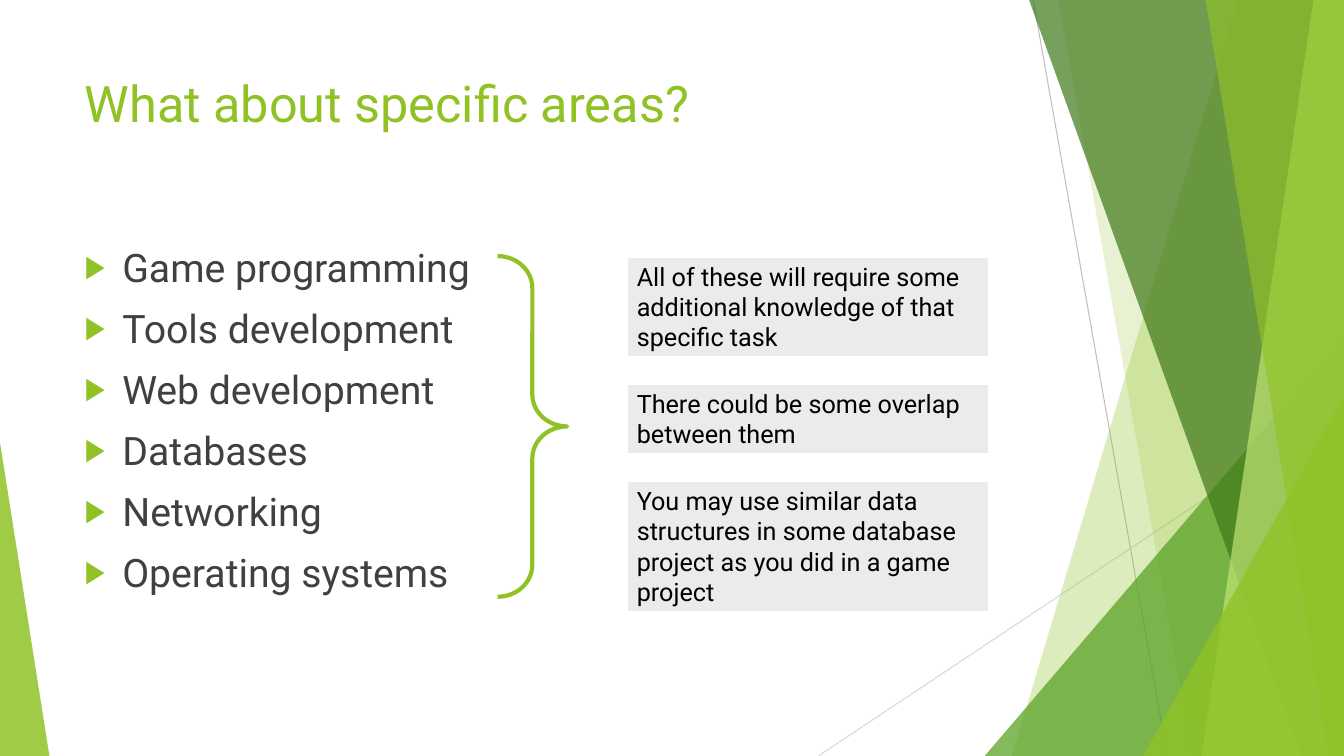
from lxml.etree import SubElement
from pptx import Presentation
from pptx.dml.color import RGBColor
from pptx.enum.shapes import MSO_CONNECTOR, MSO_SHAPE
from pptx.enum.text import MSO_ANCHOR, MSO_AUTO_SIZE, PP_ALIGN
from pptx.oxml.ns import qn
from pptx.util import Pt

TITLE = "What about specific areas?"
AREAS = ["Game programming", "Tools development", "Web development",
         "Databases", "Networking", "Operating systems"]
NOTES = [
    ("All of these will require some additional knowledge of that specific task", 3),
    ("There could be some overlap between them", 2),
    ("You may use similar data structures in some database project as you did in a game project", 4),
]
COLORS = {"lime": "90C226", "green": "54A021", "forest": "3F7819", "pale": "C0E474",
          "text": "404040", "black": "000000", "note": "EBEBEB", "white": "FFFFFF",
          "gray": "BFBFBF", "light_gray": "D9D9D9"}
WIDTH, HEIGHT = 960, 540
RAYS = [((738, 0), (833.8, HEIGHT), "gray"), ((WIDTH, 290.2), (584.6, HEIGHT), "light_gray")]
FACETS = [
    ("band", (884.2, 722.9), "lime", 30),
    ("band", (756, 851.8), "lime", 20),
    ("triangle", (703.4, 239.8, 256.6, 1), "green", 72),
    ("band", (735.1, 929.5), "forest", 70),
    ("band", (938.2, 858.2), "pale", 70),
    ("band", (861.1, 949), "lime", 65),
    ("triangle", (816.5, 283, 143.5, 1), "lime", 80),
    ("triangle", (0, 316.1, 35.3, 0), "lime", 85),
]
TITLE_FONT = {"name": "Roboto", "size": Pt(36), "color": "lime"}
AREA_FONT = {"name": "Roboto", "size": Pt(28), "color": "text"}
NOTE_FONT = {"name": "Roboto", "size": Pt(18), "color": "black"}
NOTE_LEFT, NOTE_TOP, NOTE_WIDTH, NOTE_GAP = 447.8, 183, 259.2, 18.2
NOTE_LINE, NOTE_PADDING = 21.6, 7.9


def rgb(name):
    return RGBColor.from_string(COLORS[name])


def box(*lengths):
    return [Pt(v) for v in lengths]


def format_font(font, values):
    for key, value in values.items():
        if key == "color":
            font.color.rgb = rgb(value)
        else:
            setattr(font, key, value)


def format_frame(tf):
    values = {"word_wrap": True, "auto_size": MSO_AUTO_SIZE.NONE, "vertical_anchor": MSO_ANCHOR.TOP}
    for key, value in values.items():
        setattr(tf, key, value)


def add_ray(slide, start, end, color):
    line = slide.shapes.add_connector(MSO_CONNECTOR.STRAIGHT, *box(*start, *end))
    line.line.color.rgb = rgb(color)
    line.line.width = Pt(0.75)
    SubElement(line._element.spPr, qn("a:effectLst"))


def add_facet(slide, kind, geometry, color, opacity):
    if kind == "band":
        top_x, bottom_x = geometry
        builder = slide.shapes.build_freeform(*box(top_x, 0))
        corners = [(WIDTH, 0), (WIDTH, HEIGHT), (bottom_x, HEIGHT)]
        builder.add_line_segments([box(*c) for c in corners], close=True)
        sp = builder.convert_to_shape()
    else:
        left, top, width, apex = geometry
        sp = slide.shapes.add_shape(MSO_SHAPE.ISOSCELES_TRIANGLE,
                                    *box(left, top, width, HEIGHT - top))
        sp.adjustments[0] = apex
    sp.shadow.inherit = False
    sp.line.fill.background()
    sp.fill.solid()
    sp.fill.fore_color.rgb = rgb(color)
    clr = sp._element.spPr.find(qn("a:solidFill"))[0]
    SubElement(clr, qn("a:alpha"), val=str(opacity * 1000))


def add_title(slide):
    sp = slide.shapes.title
    sp.left, sp.top, sp.width, sp.height = box(53.3, 48, 677, 104)
    tf = sp.text_frame
    tf.text = TITLE
    format_frame(tf)
    p = tf.paragraphs[0]
    p.alignment = PP_ALIGN.LEFT
    format_font(p.runs[0].font, TITLE_FONT)


def add_areas(slide):
    tf = slide.shapes.add_textbox(*box(53.3, 170, 677, 305.5)).text_frame
    format_frame(tf)
    for i, area in enumerate(AREAS):
        p = tf.paragraphs[0] if i == 0 else tf.add_paragraph()
        pPr = p._p.get_or_add_pPr()
        pPr.set("marL", str(Pt(27)))
        pPr.set("indent", str(-Pt(27)))
        if i:
            p.space_before = Pt(10)
        SubElement(SubElement(pPr, qn("a:buClr")), qn("a:srgbClr"), val=COLORS["lime"])
        SubElement(pPr, qn("a:buSzPct"), val="80000")
        SubElement(pPr, qn("a:buFont"), typeface="Roboto")
        SubElement(pPr, qn("a:buChar"), char="▶")
        r = p.add_run()
        r.text = area
        format_font(r.font, AREA_FONT)


def add_brace(slide):
    sp = slide.shapes.add_shape(MSO_SHAPE.RIGHT_BRACE, *box(355.4, 182.9, 49.7, 243.4))
    sp.adjustments[0] = 0.46
    sp.shadow.inherit = False
    sp.fill.background()
    sp.line.color.rgb = rgb("lime")
    sp.line.width = Pt(3)


def add_notes(slide):
    top = NOTE_TOP
    for text, lines in NOTES:
        height = lines * NOTE_LINE + NOTE_PADDING
        sp = slide.shapes.add_shape(MSO_SHAPE.RECTANGLE, *box(NOTE_LEFT, top, NOTE_WIDTH, height))
        sp.shadow.inherit = False
        sp.fill.solid()
        sp.fill.fore_color.rgb = rgb("note")
        sp.line.color.rgb = rgb("white")
        sp.line.width = Pt(2.25)
        tf = sp.text_frame
        tf.text = text
        format_frame(tf)
        p = tf.paragraphs[0]
        p.alignment = PP_ALIGN.LEFT
        format_font(p.runs[0].font, NOTE_FONT)
        top += height + NOTE_GAP


def main():
    prs = Presentation()
    prs.slide_width, prs.slide_height = box(WIDTH, HEIGHT)
    slide = prs.slides.add_slide(prs.slide_layouts[5])
    for ray in RAYS:
        add_ray(slide, *ray)
    for facet in FACETS:
        add_facet(slide, *facet)
    add_title(slide)
    add_areas(slide)
    add_brace(slide)
    add_notes(slide)
    prs.save("out.pptx")


if __name__ == "__main__":
    main()
